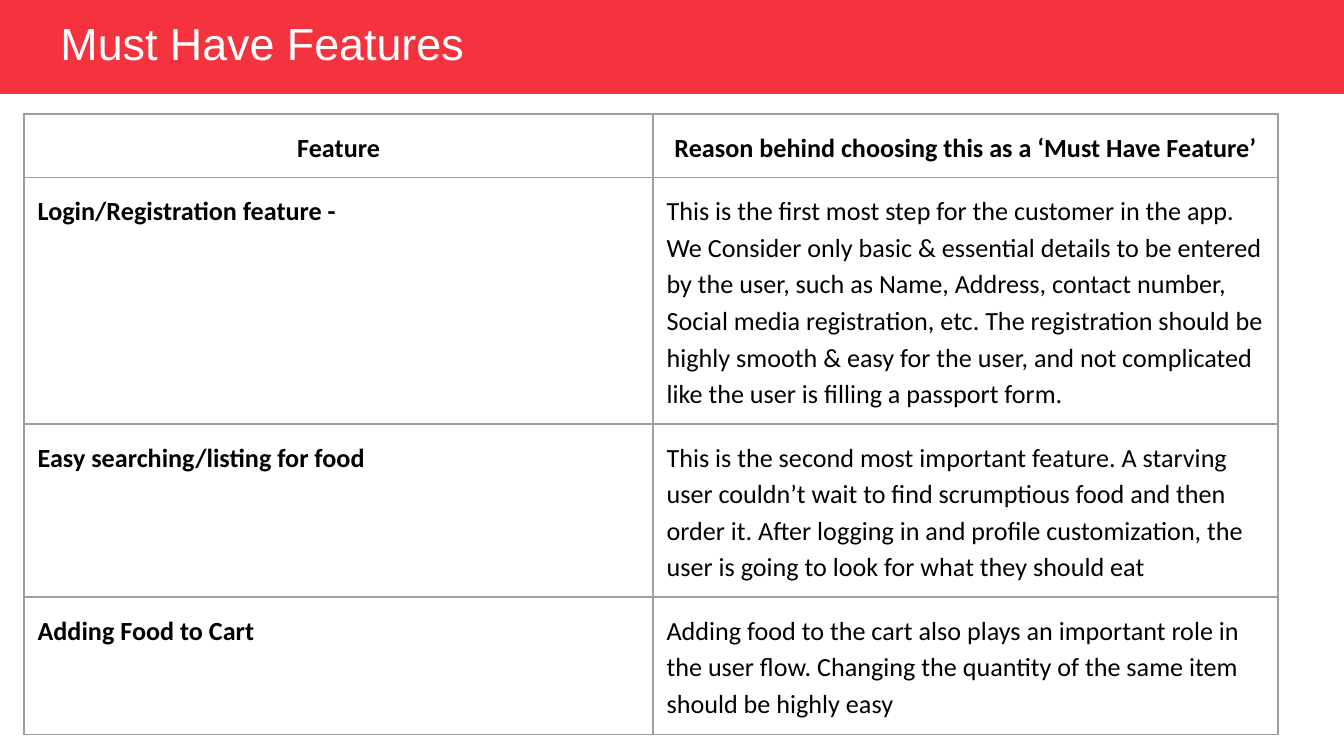
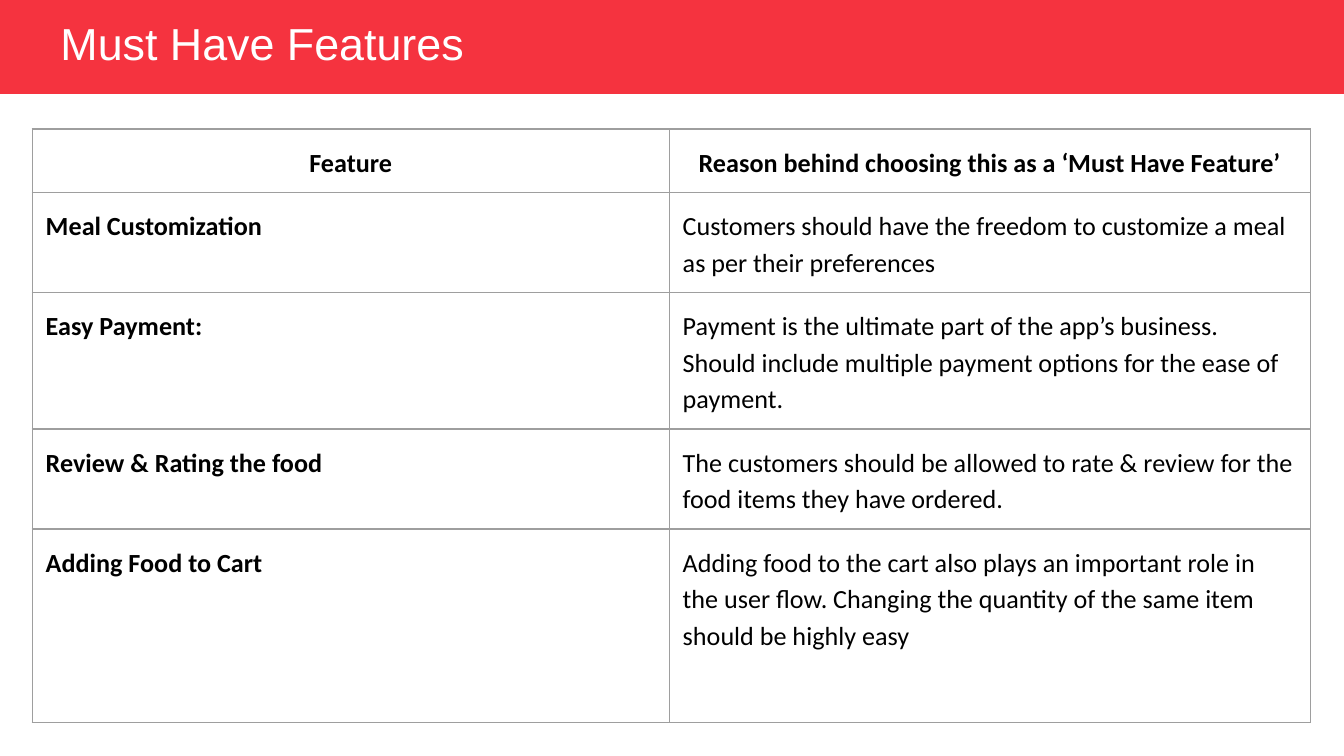
from lxml.etree import SubElement
from pptx import Presentation
from pptx.dml.color import RGBColor
from pptx.enum.shapes import MSO_SHAPE as Shape
from pptx.enum.text import MSO_ANCHOR as Anchor, PP_ALIGN as Align
from pptx.oxml.ns import qn
from pptx.util import Inches, Pt

RED = RGBColor(0xF5, 0x33, 0x3F)
WHITE = RGBColor(0xFF, 0xFF, 0xFF)
BLACK = RGBColor(0x00, 0x00, 0x00)
GREY = RGBColor(0x9E, 0x9E, 0x9E)
SLIDE_WIDTH = Inches(10)
SLIDE_HEIGHT = SLIDE_WIDTH * 9 // 16
BORDER_WIDTH = Pt(0.94)
CELL_MARGIN = Inches(0.1)

TITLE = "Must Have Features"
HEADINGS = ("Feature", "Reason behind choosing this as a ‘Must Have Feature’")
CART = (
    "Adding Food to Cart",
    "Adding food to the cart also plays an important role in the user flow. "
    "Changing the quantity of the same item should be highly easy",
)
ENTRY_FEATURES = [
    ("Login/Registration feature -",
     "This is the first most step for the customer in the app. We Consider only "
     "basic & essential details to be entered by the user, such as Name, Address, "
     "contact number, Social media registration, etc. The registration should be "
     "highly smooth & easy for the user, and not complicated like the user is "
     "filling a passport form."),
    ("Easy searching/listing for food",
     "This is the second most important feature. A starving user couldn’t wait to "
     "find scrumptious food and then order it. After logging in and profile "
     "customization, the user is going to look for what they should eat"),
    CART,
]
ORDER_FEATURES = [
    ("Meal Customization",
     "Customers should have the freedom to customize a meal as per their preferences"),
    ("Easy Payment:",
     "Payment is the ultimate part of the app’s business. Should include multiple "
     "payment options for the ease of payment."),
    ("Review & Rating the food",
     "The customers should be allowed to rate & review for the food items they "
     "have ordered."),
    CART,
]


class FeatureDeck:
    def __init__(self):
        self.prs = Presentation()
        self.prs.slide_width, self.prs.slide_height = SLIDE_WIDTH, SLIDE_HEIGHT
        self.slide = None

    def add_slide(self, heading):
        self.slide = self.prs.slides.add_slide(self.prs.slide_layouts[5])
        self.add_title(heading)
        self.add_band()

    def add_title(self, heading):
        title = self.slide.shapes.title
        title.left, title.top = Inches(0.35), Inches(0.13)
        title.width, title.height = Inches(4.09), Inches(0.42)
        frame = title.text_frame
        frame.text = heading
        frame.vertical_anchor = Anchor.MIDDLE
        self.format_text(frame, "Arial", 24, WHITE, spacing=0.9)

    def add_band(self):
        """Draw the red header band behind the title."""
        band = self.slide.shapes.add_shape(
            Shape.RECTANGLE, 0, 0, SLIDE_WIDTH, Inches(0.7))
        band.shadow.inherit = False
        band.fill.solid()
        band.fill.fore_color.rgb = RED
        band.line.fill.background()
        self.slide.shapes.title.element.addprevious(band.element)

    def format_text(self, frame, font_name, size, color, spacing,
                    bold=False, align=Align.LEFT):
        for paragraph in frame.paragraphs:
            paragraph.alignment = align
            paragraph.line_spacing = spacing
            for run in paragraph.runs:
                font = run.font
                font.name, font.size, font.bold = font_name, Pt(size), bold
                font.color.rgb = color

    def add_feature_table(self, left, top, widths, heights, features):
        rows = [HEADINGS, *features]
        table = self.slide.shapes.add_table(
            len(rows), len(widths), Inches(left), Inches(top),
            Inches(sum(widths)), Inches(sum(heights))).table
        table.first_row = table.horz_banding = False
        for column, width in zip(table.columns, widths):
            column.width = Inches(width)
        for r, (height, texts) in enumerate(zip(heights, rows)):
            table.rows[r].height = Inches(height)
            for c, text in enumerate(texts):
                self.fill_cell(table.cell(r, c), text, bold=r == 0 or c == 0,
                               align=Align.CENTER if r == 0 else Align.LEFT)

    def fill_cell(self, cell, text, bold, align):
        cell.text_frame.text = text
        cell.margin_left = cell.margin_right = CELL_MARGIN
        cell.margin_top = cell.margin_bottom = CELL_MARGIN
        self.format_text(cell.text_frame, "Calibri", 14, BLACK, 1.15, bold, align)
        self.add_borders(cell)
        cell.fill.solid()
        cell.fill.fore_color.rgb = WHITE

    def add_borders(self, cell):
        properties = cell._tc.get_or_add_tcPr()
        for side in ("a:lnL", "a:lnR", "a:lnT", "a:lnB"):
            border = SubElement(properties, qn(side), w=str(BORDER_WIDTH))
            fill = SubElement(border, qn("a:solidFill"))
            SubElement(fill, qn("a:srgbClr"), val=str(GREY))


def main():
    deck = FeatureDeck()
    deck.add_slide(TITLE)
    deck.add_feature_table(0.18, 0.85, (4.68, 4.65), (0.46, 1.79, 1.26, 1.02),
                           ENTRY_FEATURES)
    deck.add_slide(TITLE)
    deck.add_feature_table(0.24, 0.96, (4.74, 4.77), (0.46, 0.72, 0.98, 0.72, 1.44),
                           ORDER_FEATURES)
    deck.prs.save("out.pptx")


if __name__ == "__main__":
    main()
